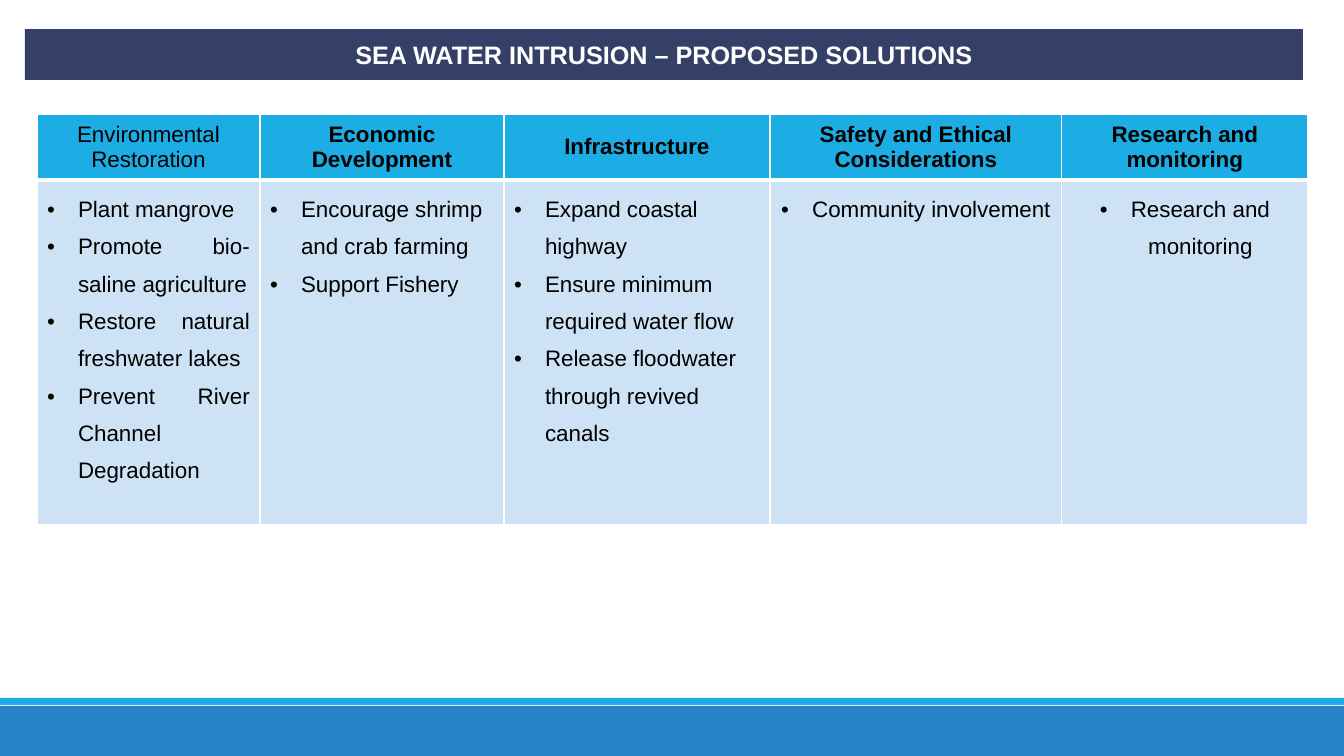
from dataclasses import dataclass

from lxml.etree import SubElement
from pptx import Presentation
from pptx.dml.color import RGBColor
from pptx.enum.shapes import MSO_SHAPE
from pptx.enum.text import MSO_ANCHOR, MSO_AUTO_SIZE, PP_ALIGN
from pptx.oxml.ns import qn
from pptx.util import Pt

EMU_PER_PX = 914400 / 100.8
WIDTH, HEIGHT = 1344, 756


@dataclass(frozen=True)
class Theme:
    font: str = "Arial"
    title_size: int = 18
    table_size: int = 16
    navy: str = "344068"
    blue: str = "2683C6"
    cyan: str = "1CADE4"
    pale: str = "CDE3F5"
    white: str = "FFFFFF"
    black: str = "000000"


THEME = Theme()

# Heading, heading is bold, list alignment, column width, list items
SOLUTIONS = [
    ("Environmental Restoration", False, PP_ALIGN.JUSTIFY, 223,
     ["Plant mangrove", "Promote bio-saline agriculture",
      "Restore natural freshwater lakes", "Prevent River Channel Degradation"]),
    ("Economic Development", True, PP_ALIGN.LEFT, 244,
     ["Encourage shrimp and crab farming", "Support Fishery"]),
    ("Infrastructure", True, PP_ALIGN.LEFT, 266,
     ["Expand coastal highway", "Ensure minimum required water flow",
      "Release floodwater through revived canals"]),
    ("Safety and Ethical Considerations", True, PP_ALIGN.CENTER, 292,
     ["Community involvement"]),
    ("Research and monitoring", True, PP_ALIGN.CENTER, 246,
     ["Research and monitoring"]),
]


def px(length):
    return round(length * EMU_PER_PX)


def set_font(para, size, color, bold):
    font = para.font
    font.name, font.size, font.bold = THEME.font, Pt(size), bold
    font.color.rgb = RGBColor.from_string(color)


def add_bar(slide, left, top, width, height, color):
    bar = slide.shapes.add_shape(
        MSO_SHAPE.RECTANGLE, px(left), px(top), px(width), px(height))
    bar.shadow.inherit = False
    bar.fill.solid()
    bar.fill.fore_color.rgb = RGBColor.from_string(color)
    bar.line.fill.background()
    return bar


def set_title(slide, text, bar):
    """Place the title placeholder in front of its bar."""
    title = slide.shapes.title
    title.left, title.top = bar.left, px(34)
    title.width, title.height = bar.width, px(45)
    bar.element.addnext(title.element)
    frame = title.text_frame
    frame.text = text
    frame.auto_size = MSO_AUTO_SIZE.NONE
    frame.vertical_anchor = MSO_ANCHOR.MIDDLE
    para = frame.paragraphs[0]
    para.alignment, para.line_spacing = PP_ALIGN.CENTER, 0.9
    set_font(para, THEME.title_size, THEME.white, True)


def style_cell(cell, color, bottom_line):
    properties = cell._tc.get_or_add_tcPr()
    for side, points in (("L", 1), ("R", 1), ("T", 1), ("B", bottom_line)):
        line = SubElement(properties, qn(f"a:ln{side}"), w=str(Pt(points)))
        fill = SubElement(line, qn("a:solidFill"))
        SubElement(fill, qn("a:srgbClr"), val=THEME.white)
    cell.fill.solid()
    cell.fill.fore_color.rgb = RGBColor.from_string(color)


def fill_heading(cell, text, bold):
    style_cell(cell, THEME.cyan, 3)
    cell.vertical_anchor = MSO_ANCHOR.MIDDLE
    cell.text = text
    para = cell.text_frame.paragraphs[0]
    para.alignment = PP_ALIGN.CENTER
    set_font(para, THEME.table_size, THEME.black, bold)


def add_bullet(para):
    properties = para._p.get_or_add_pPr()
    properties.set("marL", str(px(31)))
    properties.set("indent", str(-px(31)))
    SubElement(properties, qn("a:buFont"), typeface=THEME.font)
    SubElement(properties, qn("a:buChar"), char="•")


def fill_list(cell, items, alignment):
    style_cell(cell, THEME.pale, 1)
    cell.text = "\n".join(items)
    for para in cell.text_frame.paragraphs:
        add_bullet(para)
        para.alignment, para.line_spacing = alignment, 1.5
        set_font(para, THEME.table_size, THEME.black, False)


def add_solutions_table(slide, left, top, row_heights):
    width = sum(solution[3] for solution in SOLUTIONS)
    table = slide.shapes.add_table(
        len(row_heights), len(SOLUTIONS), px(left), px(top),
        px(width), px(sum(row_heights))).table
    for row, height in zip(table.rows, row_heights):
        row.height = px(height)
    for index, (heading, bold, alignment, width, items) in enumerate(SOLUTIONS):
        table.columns[index].width = px(width)
        fill_heading(table.cell(0, index), heading, bold)
        fill_list(table.cell(1, index), items, alignment)


def main():
    deck = Presentation()
    deck.slide_width, deck.slide_height = px(WIDTH), px(HEIGHT)
    slide = deck.slides.add_slide(deck.slide_layouts[5])
    add_bar(slide, 0, 706, WIDTH, 50, THEME.blue)
    add_bar(slide, 0, 698, WIDTH, 7, THEME.cyan)
    title_bar = add_bar(slide, 25, 29, 1278, 51, THEME.navy)
    set_title(slide, "SEA WATER INTRUSION – PROPOSED SOLUTIONS", title_bar)
    add_solutions_table(slide, 37, 114, (66, 345))
    deck.save("out.pptx")


if __name__ == "__main__":
    main()
